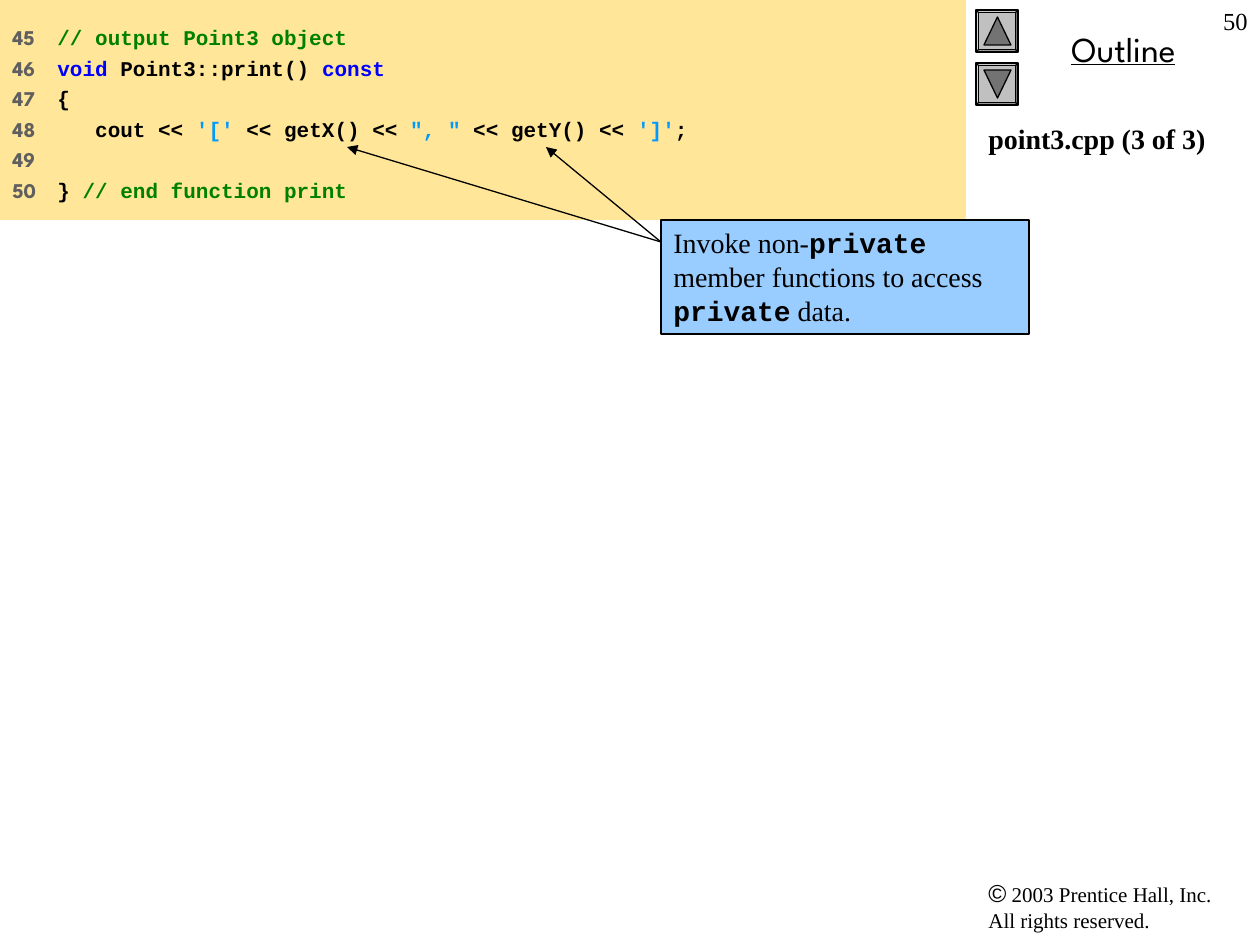
from dataclasses import dataclass, field

import lxml.etree
import pptx
import pptx.dml.color
import pptx.enum.shapes
import pptx.enum.text
import pptx.oxml.ns
import pptx.util

PX = 914400 / 126
SHAPES = pptx.enum.shapes.MSO_SHAPE
ALIGN = pptx.enum.text.PP_ALIGN
BLACK, GREEN, BLUE, SKY, GREY = "000000", "008000", "0000FF", "0099FF", "5F5F5F"
CODE_COLUMN = 45


@dataclass
class Span:
    text: str
    size: int = 12
    font: str = "Times New Roman"
    color: str = BLACK
    format: dict = field(default_factory=dict)


@dataclass
class Box:
    left: int
    top: int
    width: int
    height: int
    fill: str | None = None
    line: str | None = None


@dataclass
class NavigationButton:
    top: int
    rotation: int


def emu(px: int) -> int:
    return round(px * PX)


def rgb(color: str) -> pptx.dml.color.RGBColor:
    return pptx.dml.color.RGBColor.from_string(color)


def code(text: str, color: str = BLACK) -> Span:
    return Span(text, font="Courier New", color=color, format={"bold": True})


def keyword(text: str) -> Span:
    return Span(text, 16, "Courier New", format={"bold": True})


def add_box(slide, box: Box, kind=SHAPES.RECTANGLE):
    shape = slide.shapes.add_shape(
        kind, emu(box.left), emu(box.top), emu(box.width), emu(box.height)
    )
    shape.shadow.inherit = False
    if box.fill:
        shape.fill.solid()
        shape.fill.fore_color.rgb = rgb(box.fill)
    else:
        shape.fill.background()
    if box.line:
        shape.line.color.rgb = rgb(box.line)
        shape.line.width = pptx.util.Pt(0.75)
    else:
        shape.line.fill.background()
    return shape


def add_span(paragraph, span: Span) -> None:
    for index, line in enumerate(span.text.split("\n")):
        if index:
            paragraph.add_line_break()
        run = paragraph.add_run()
        run.text = line
        run.font.color.rgb = rgb(span.color)
        values = {"size": pptx.util.Pt(span.size), "name": span.font, **span.format}
        for name, value in values.items():
            setattr(run.font, name, value)


def write_text(frame, paragraphs: list[list[Span]], align=ALIGN.LEFT,
               gap: int = 0, tab: int = 0, inset: int = 6) -> None:
    settings = {
        "word_wrap": True,
        "vertical_anchor": pptx.enum.text.MSO_ANCHOR.TOP,
        "margin_top": emu(inset),
        "margin_bottom": emu(inset),
    }
    for name, value in settings.items():
        setattr(frame, name, value)
    for index, spans in enumerate(paragraphs):
        paragraph = frame.add_paragraph() if index else frame.paragraphs[0]
        paragraph.alignment = align
        if index:
            paragraph.space_before = pptx.util.Pt(gap)
        if tab:
            properties = paragraph._p.get_or_add_pPr()
            tabs = lxml.etree.SubElement(properties, pptx.oxml.ns.qn("a:tabLst"))
            lxml.etree.SubElement(
                tabs, pptx.oxml.ns.qn("a:tab"), pos=str(emu(tab)), algn="l"
            )
        for span in spans:
            add_span(paragraph, span)


def add_label(slide, box: Box, spans: list[Span], align=ALIGN.LEFT) -> None:
    label = slide.shapes.add_textbox(
        emu(box.left), emu(box.top), emu(box.width), emu(box.height)
    )
    write_text(label.text_frame, [spans], align)


def add_button(slide, button: NavigationButton) -> None:
    frame = add_box(slide, Box(976, button.top, 42, 42, "C0C0C0", BLACK), SHAPES.BEVEL)
    frame.adjustments[0] = 0.06
    arrow = add_box(
        slide, Box(984, button.top + 7, 27, 28, "737373", BLACK),
        SHAPES.ISOSCELES_TRIANGLE,
    )
    arrow.rotation = button.rotation


def add_arrow(slide, start: tuple[int, int], end: tuple[int, int]) -> None:
    arrow = slide.shapes.add_connector(
        pptx.enum.shapes.MSO_CONNECTOR.STRAIGHT, *map(emu, start + end)
    )
    arrow.line.color.rgb = rgb(BLACK)
    arrow.line.width = pptx.util.Pt(0.75)
    line = arrow.line._get_or_add_ln()
    lxml.etree.SubElement(line, pptx.oxml.ns.qn("a:tailEnd"), type="triangle")
    lxml.etree.SubElement(arrow._element.spPr, pptx.oxml.ns.qn("a:effectLst"))


FIRST_LINE = 45
CODE_LINES = [
    [code("// output Point3 object", GREEN)],
    [code("void", BLUE), code(" Point3::print() "), code("const", BLUE)],
    [code("{")],
    [
        code("   cout << "), code("'['", SKY), code(" << getX() << "),
        code('", "', SKY), code(" << getY() << "), code("']'", SKY), code(";"),
    ],
    [],
    [code("} "), code("// end function print", GREEN)],
]
CALLOUT = [
    Span("Invoke non-", 16), keyword("private"),
    Span(" member functions to access ", 16), keyword("private"), Span(" data.", 16),
]
BUTTONS = [NavigationButton(10, 0), NavigationButton(63, 180)]
ARROW_START = (661, 242)
ARROW_ENDS = [(347, 147), (546, 147)]


def main() -> None:
    presentation = pptx.Presentation()
    presentation.slide_width = emu(1260)
    presentation.slide_height = emu(945)
    slide = presentation.slides.add_slide(presentation.slide_layouts[6])

    add_label(slide, Box(976, 872, 273, 68), [
        Span("©", 14, "Arial"), Span(" 2003 Prentice Hall, Inc.\nAll rights reserved."),
    ])
    add_label(slide, Box(987, 21, 273, 55), [
        Span("Outline", 20, "League Spartan", format={"underline": True}),
    ], ALIGN.CENTER)
    for button in BUTTONS:
        add_button(slide, button)
    add_label(slide, Box(976, 116, 284, 661), [
        Span("point3.cpp (3 of 3)", 16, format={"bold": True}),
    ])

    listing = add_box(slide, Box(0, 0, 966, 220, "FFE699"))
    numbered = []
    for number, spans in enumerate(CODE_LINES, FIRST_LINE):
        text = f"{number}\t" if spans else str(number)
        label = Span(text, font="League Spartan", color=GREY, format={"bold": True})
        numbered.append([label, *spans])
    write_text(listing.text_frame, numbered, gap=3, tab=CODE_COLUMN, inset=25)

    callout = add_box(slide, Box(661, 220, 368, 114, "99CCFF", BLACK))
    write_text(callout.text_frame, [CALLOUT])
    for end in ARROW_ENDS:
        add_arrow(slide, ARROW_START, end)

    add_label(slide, Box(1197, 0, 63, 63), [Span("50", 14)], ALIGN.RIGHT)
    presentation.save("out.pptx")


if __name__ == "__main__":
    main()
